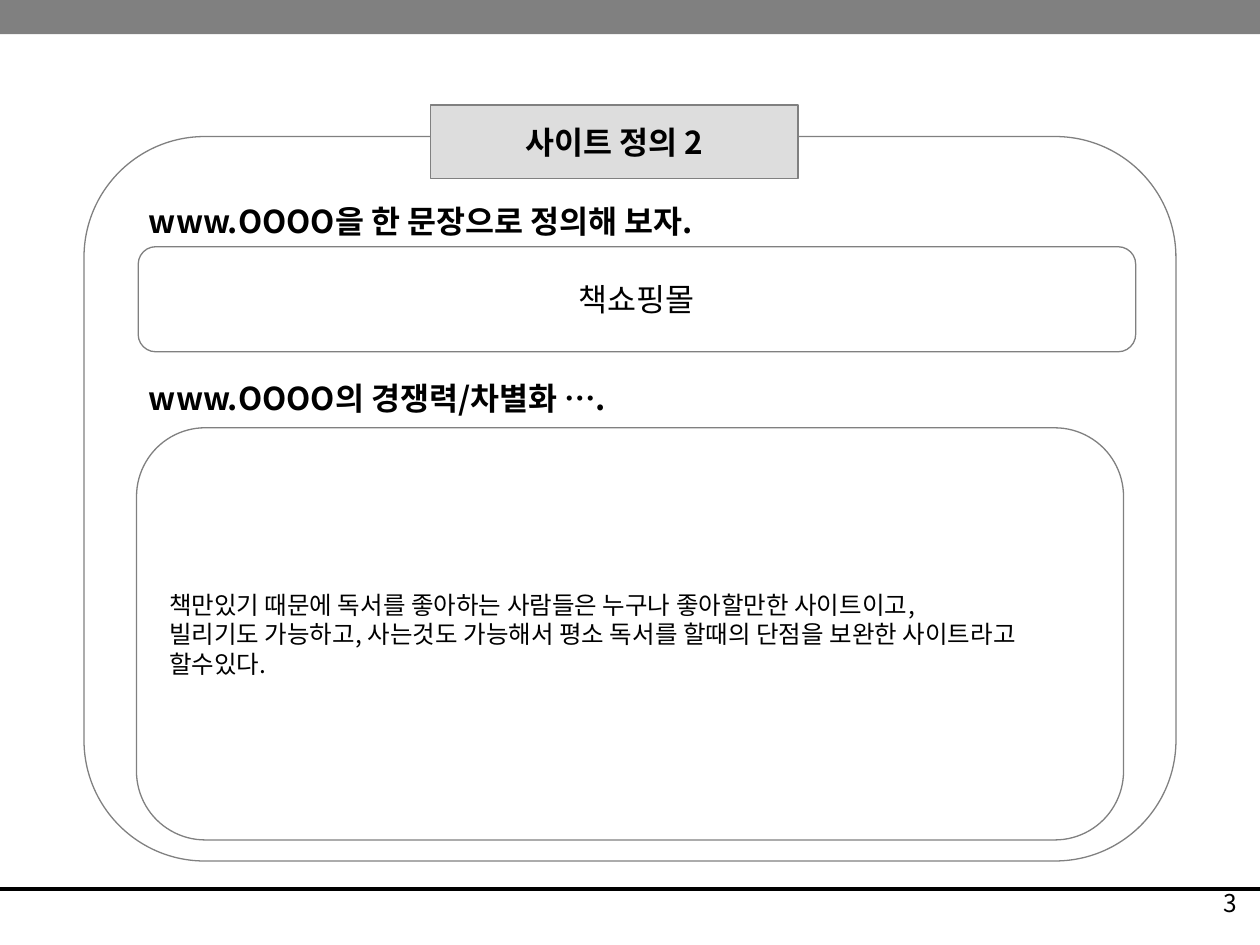
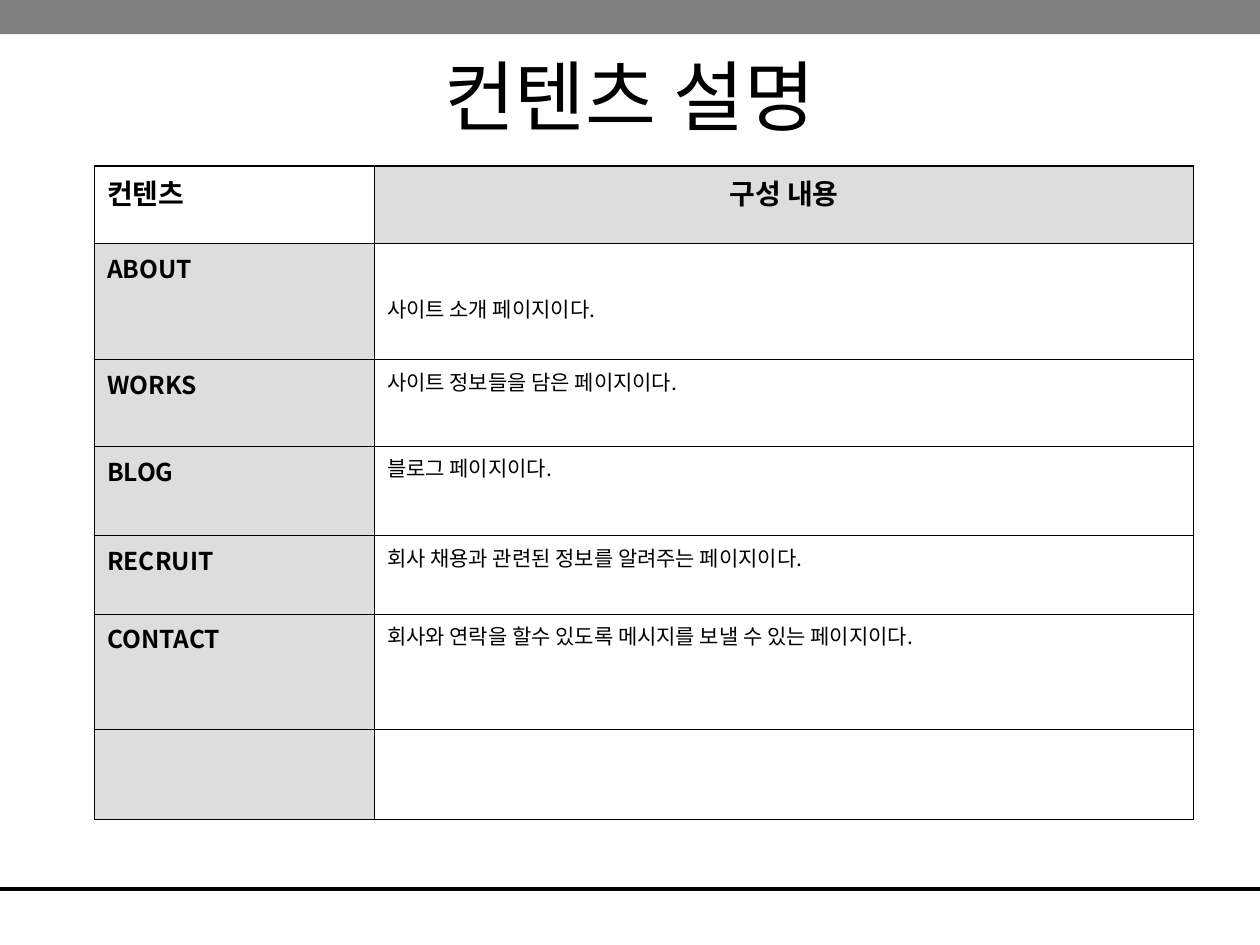
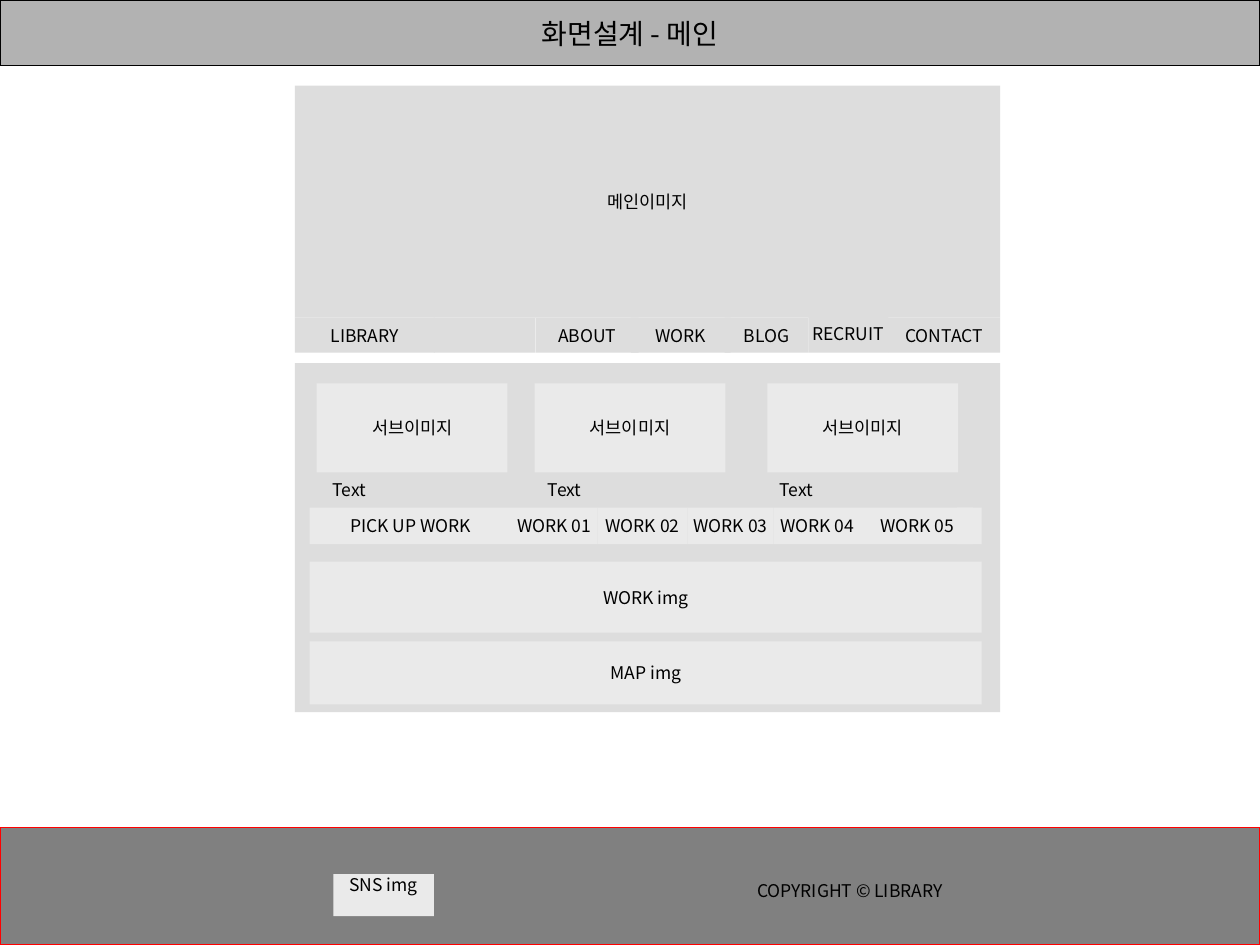
"""Build three site-planning slides: definition, contents table and main screen layout."""
from lxml.etree import SubElement
from pptx import Presentation
from pptx.dml.color import RGBColor
from pptx.enum.shapes import MSO_CONNECTOR, MSO_SHAPE
from pptx.enum.text import MSO_ANCHOR, PP_ALIGN
from pptx.oxml.ns import qn
from pptx.util import Pt

BLACK = RGBColor(0x00, 0x00, 0x00)
DARK_GRAY = RGBColor(0x80, 0x80, 0x80)
MID_GRAY = RGBColor(0xB2, 0xB2, 0xB2)
LIGHT_GRAY = RGBColor(0xDD, 0xDD, 0xDD)
PALE_GRAY = RGBColor(0xEA, 0xEA, 0xEA)
RED = RGBColor(0xFF, 0x00, 0x00)
FONT = "Noto Sans CJK KR"
ELLIPSIS_FONT = "Times New Roman"
WIDTH, HEIGHT = 720, 540


def write(frame, text, size=10, bold=False, align=PP_ALIGN.LEFT, anchor=MSO_ANCHOR.TOP, wrap=True):
    """Fill a text frame with one paragraph per line of text."""
    frame.word_wrap = wrap
    frame.vertical_anchor = anchor
    for index, line in enumerate(text.split("\n")):
        paragraph = frame.add_paragraph() if index else frame.paragraphs[0]
        paragraph.alignment = align
        for piece in filter(None, line.partition("…")):
            run = paragraph.add_run()
            run.text = piece
            run.font.size = Pt(size)
            run.font.bold = bold
            run.font.color.rgb = BLACK
            run.font.name = ELLIPSIS_FONT if piece == "…" else FONT
            SubElement(run.font._element, qn("a:ea"), typeface=FONT)


def add_block(slide, left, top, width, height, fill=None, line=None, kind=MSO_SHAPE.RECTANGLE,
              text="", align=PP_ALIGN.CENTER, anchor=MSO_ANCHOR.MIDDLE, wrap=False, **style):
    """Add a preset shape with optional fill, outline and text."""
    block = slide.shapes.add_shape(kind, Pt(left), Pt(top), Pt(width), Pt(height))
    block.shadow.inherit = False
    if fill is None:
        block.fill.background()
    else:
        block.fill.solid()
        block.fill.fore_color.rgb = fill
    if line is None:
        block.line.fill.background()
    else:
        block.line.color.rgb = line
        block.line.width = Pt(0.75)
    if text:
        write(block.text_frame, text, align=align, anchor=anchor, wrap=wrap, **style)
    return block


deck = Presentation()
deck.slide_width, deck.slide_height = Pt(WIDTH), Pt(HEIGHT)
definition, contents, main_screen = [deck.slides.add_slide(deck.slide_layouts[6]) for _ in range(3)]

for slide in (definition, contents, main_screen):
    footer_rule = slide.shapes.add_connector(MSO_CONNECTOR.STRAIGHT, 0, Pt(508), Pt(WIDTH), Pt(508))
    footer_rule.line.color.rgb = BLACK
    footer_rule.line.width = Pt(2.25)
    SubElement(footer_rule._element.spPr, qn("a:effectLst"))
    add_block(slide, 0, 0, WIDTH, 19.5, fill=DARK_GRAY)

page_number = definition.shapes.add_textbox(Pt(564), Pt(504), Pt(150), Pt(36))
write(page_number.text_frame, "3", size=14, align=PP_ALIGN.RIGHT)
for top, question in ((111.6, "www.OOOO을 한 문장으로 정의해 보자."), (213, "www.OOOO의 경쟁력/차별화 ….")):
    heading = definition.shapes.add_textbox(Pt(78), Pt(top), Pt(360), Pt(29))
    write(heading.text_frame, question, size=18, bold=True)
rounded = {"line": DARK_GRAY, "kind": MSO_SHAPE.ROUNDED_RECTANGLE}
add_block(definition, 79, 141, 570, 60, text="책쇼핑몰", size=18, **rounded)
add_block(definition, 78, 244.5, 564, 235.5, size=14, align=PP_ALIGN.LEFT, wrap=True, **rounded,
          text="책만있기 때문에 독서를 좋아하는 사람들은 누구나 좋아할만한 사이트이고,\n"
               "빌리기도 가능하고, 사는것도 가능해서 평소 독서를 할때의 단점을 보완한 사이트라고\n"
               "할수있다.")
add_block(definition, 48, 78, 624, 414, **rounded)
add_block(definition, 246, 60, 210, 42, fill=LIGHT_GRAY, line=DARK_GRAY,
          text="사이트 정의 2", size=18, bold=True)

title = contents.shapes.add_textbox(Pt(54), Pt(24), Pt(612), Pt(90))
write(title.text_frame, "컨텐츠 설명", size=44, align=PP_ALIGN.CENTER)
pages = [
    ("컨텐츠", "구성 내용", 44),
    ("ABOUT", "사이트 소개 페이지이다.", 66.5),
    ("WORKS", "사이트 정보들을 담은 페이지이다.", 49.5),
    ("BLOG", "블로그 페이지이다.", 51),
    ("RECRUIT", "회사 채용과 관련된 정보를 알려주는 페이지이다.", 45),
    ("CONTACT", "회사와 연락을 할수 있도록 메시지를 보낼 수 있는 페이지이다.", 66),
    ("", "", 51),
]
page_table = contents.shapes.add_table(len(pages), 2, Pt(54), Pt(95), Pt(628), Pt(373)).table
page_table.first_row = page_table.horz_banding = False
page_table.columns[0].width, page_table.columns[1].width = Pt(160), Pt(468)
for row, (page, description, height) in enumerate(pages):
    page_table.rows[row].height = Pt(height)
    for column, text in enumerate((page, description)):
        cell = page_table.cell(row, column)
        properties = cell._tc.get_or_add_tcPr()
        outer_edges = {"lnL": column == 0, "lnR": column == 1, "lnT": row == 0, "lnB": False}
        for edge, is_outer in outer_edges.items():
            border = SubElement(properties, qn(f"a:{edge}"), w=str(Pt(1.08 if is_outer else 0.45)))
            border_fill = SubElement(border, qn("a:solidFill"))
            SubElement(border_fill, qn("a:srgbClr"), val=str(BLACK))
        if (row == 0) == (column == 1):
            cell.fill.solid()
            cell.fill.fore_color.rgb = LIGHT_GRAY
        else:
            cell.fill.background()
        is_header = row == 0
        write(cell.text_frame, text, size=16 if is_header else 12 if column else 14,
              bold=is_header or column == 0,
              align=PP_ALIGN.CENTER if is_header and column else PP_ALIGN.LEFT)
page_table.cell(1, 1).margin_top = Pt(28.5)

add_block(main_screen, 168.5, 49, 403, 132.5, fill=LIGHT_GRAY, text="메인이미지")
add_block(main_screen, 168.5, 207.5, 403, 199.5, fill=LIGHT_GRAY)
add_block(main_screen, 0, 473, WIDTH, 67, fill=DARK_GRAY, line=RED)
add_block(main_screen, 0, 0, WIDTH, 37.5, fill=MID_GRAY, line=BLACK, text="화면설계 - 메인", size=16)

menu = [("LIBRARY", 168.5, 80), ("", 248, 58), ("ABOUT", 306, 59), ("WORK", 360.5, 57),
        ("BLOG", 414, 48), ("RECRUIT", 462, 45.5), ("CONTACT", 507.5, 64)]
for label, left, width in menu:
    top = 179.5 if label == "RECRUIT" else 181.5
    add_block(main_screen, left, top, width, 201.5 - top, fill=LIGHT_GRAY, text=label)

for image_left, caption_left in ((181, 183), (305.5, 306), (438.5, 438.5)):
    add_block(main_screen, image_left, 219, 109, 51, fill=PALE_GRAY, text="서브이미지")
    caption = main_screen.shapes.add_textbox(Pt(caption_left), Pt(270), Pt(109), Pt(32))
    write(caption.text_frame, "Text")

works = [("PICK UP WORK", 177, 115), ("WORK 01", 292, 49.5), ("WORK 02", 341.5, 51.5),
         ("WORK 03", 393, 49), ("WORK 05", 492, 64), ("WORK 04", 442, 50), ("", 547, 14)]
for label, left, width in works:
    add_block(main_screen, left, 290, width, 21, fill=PALE_GRAY, text=label)
add_block(main_screen, 177, 321, 384, 40.5, fill=PALE_GRAY, text="WORK img")
add_block(main_screen, 177, 366.5, 384, 36, fill=PALE_GRAY, text="MAP img")

social = add_block(main_screen, 190.5, 499.5, 57.5, 24, fill=PALE_GRAY, text="SNS img", anchor=MSO_ANCHOR.TOP)
social.text_frame.margin_top = 0
copyright_note = main_screen.shapes.add_textbox(Pt(327), Pt(499.5), Pt(226), Pt(19.5))
copyright_note.text_frame.margin_right = Pt(14.5)
write(copyright_note.text_frame, "COPYRIGHT © LIBRARY", align=PP_ALIGN.RIGHT)

deck.save("out.pptx")
